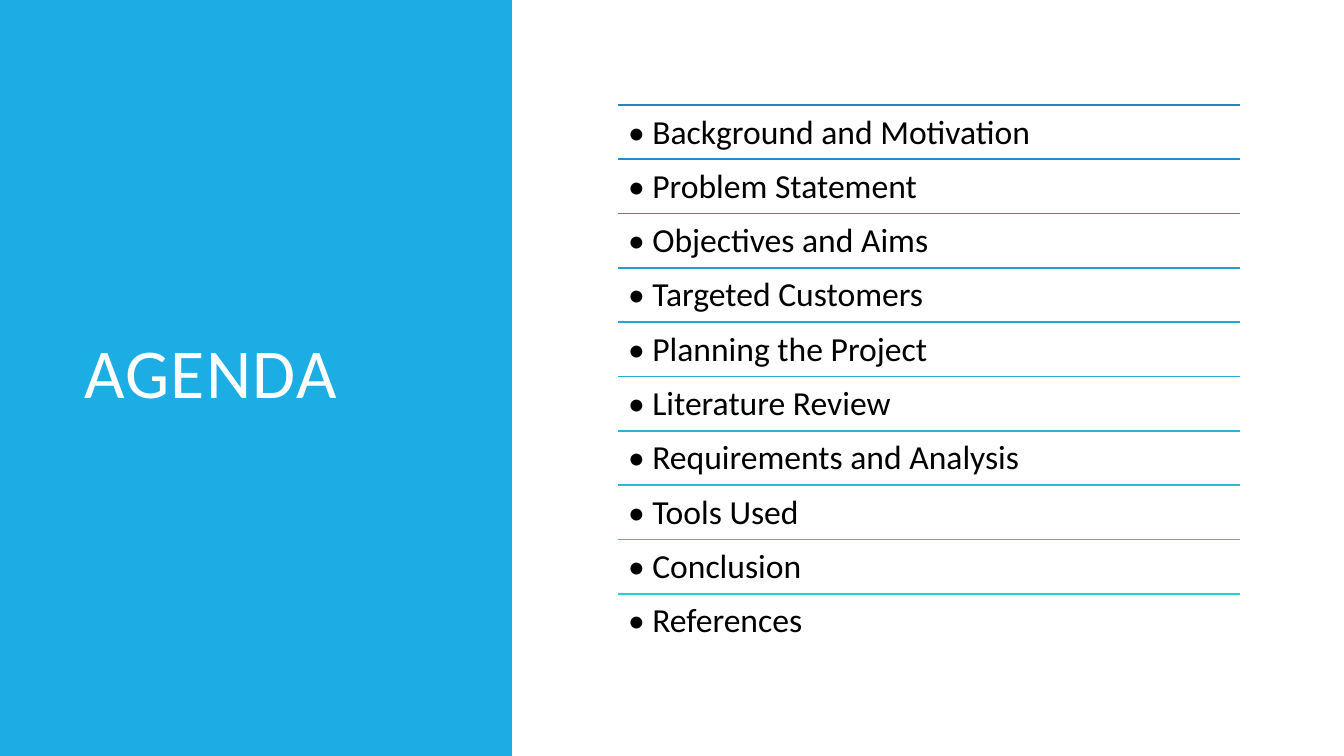
from lxml import etree
from pptx import Presentation
from pptx.dml.color import RGBColor
from pptx.enum.shapes import MSO_CONNECTOR, MSO_SHAPE
from pptx.enum.text import MSO_ANCHOR, MSO_AUTO_SIZE, PP_ALIGN
from pptx.oxml.ns import qn
from pptx.util import Pt

STRAIGHT = MSO_CONNECTOR.STRAIGHT
RECTANGLE = MSO_SHAPE.RECTANGLE
TOP, MIDDLE = MSO_ANCHOR.TOP, MSO_ANCHOR.MIDDLE
LEFT = PP_ALIGN.LEFT
NO_AUTOFIT = MSO_AUTO_SIZE.NONE

HEADING = "AGENDA"
TOPICS = [
    ("Background and Motivation", "2683C6"),
    ("Problem Statement", "268BC8"),
    ("Objectives and Aims", "2693CA"),
    ("Targeted Customers", "269BCC"),
    ("Planning the Project", "26A3CE"),
    ("Literature Review", "27ABCF"),
    ("Requirements and Analysis", "27B4D1"),
    ("Tools Used", "27BCD3"),
    ("Conclusion", "27C5D5"),
    ("References", "27CED7"),
]

SLIDE_W, SLIDE_H = 1344, 756
PANEL_W = 512
HEADING_BOX = (74, 71, 377, 614)
LIST_X, LIST_Y, LIST_W, LIST_H = 618, 105, 622, 543
ROW_H = LIST_H / len(TOPICS)


def px(length):
    return round(length * 914400 / 100.8)


def box(*lengths):
    return [px(length) for length in lengths]


def colour(code):
    return RGBColor.from_string(code)


def write(shape, text, *, size, color, line_spacing, anchor, inset_y, tracking=None):
    frame = shape.text_frame
    frame.word_wrap = True
    frame.auto_size = NO_AUTOFIT
    frame.vertical_anchor = anchor
    frame.margin_left = frame.margin_right = px(10)
    frame.margin_top = frame.margin_bottom = px(inset_y)
    paragraph = frame.paragraphs[0]
    paragraph.alignment = LEFT
    paragraph.line_spacing = line_spacing
    run = paragraph.add_run()
    run.text = text
    run.font.name = "Calibri"
    run.font.size = Pt(size)
    run.font.color.rgb = colour(color)
    if tracking:
        run.font._element.set("spc", str(tracking * 100))


def add_rule(shapes, y, color):
    rule = shapes.add_connector(STRAIGHT, *box(LIST_X, y, LIST_X + LIST_W, y))
    rule.line.color.rgb = colour(color)
    rule.line.width = Pt(1.25)
    etree.SubElement(rule._element.spPr, qn("a:effectLst"))


def main():
    deck = Presentation()
    deck.slide_width, deck.slide_height = box(SLIDE_W, SLIDE_H)
    slide = deck.slides.add_slide(deck.slide_layouts[5])
    shapes = slide.shapes

    heading = shapes.title
    heading.left, heading.top, heading.width, heading.height = box(*HEADING_BOX)
    write(heading, HEADING, size=50, color="FFFFFF", line_spacing=0.8,
          anchor=MIDDLE, inset_y=5, tracking=1)

    panel = shapes.add_shape(RECTANGLE, *box(0, 0, PANEL_W, SLIDE_H))
    panel.shadow.inherit = False
    panel.fill.solid()
    panel.fill.fore_color.rgb = colour("1CADE4")
    panel.line.fill.background()
    heading._element.addprevious(panel._element)

    for row, (topic, rule_color) in enumerate(TOPICS):
        y = LIST_Y + row * ROW_H
        add_rule(shapes, y, rule_color)
        entry = shapes.add_textbox(*box(LIST_X, y, LIST_W, ROW_H))
        write(entry, f"• {topic}", size=24, color="000000", line_spacing=0.9,
              anchor=TOP, inset_y=10)

    deck.save("out.pptx")


if __name__ == "__main__":
    main()
